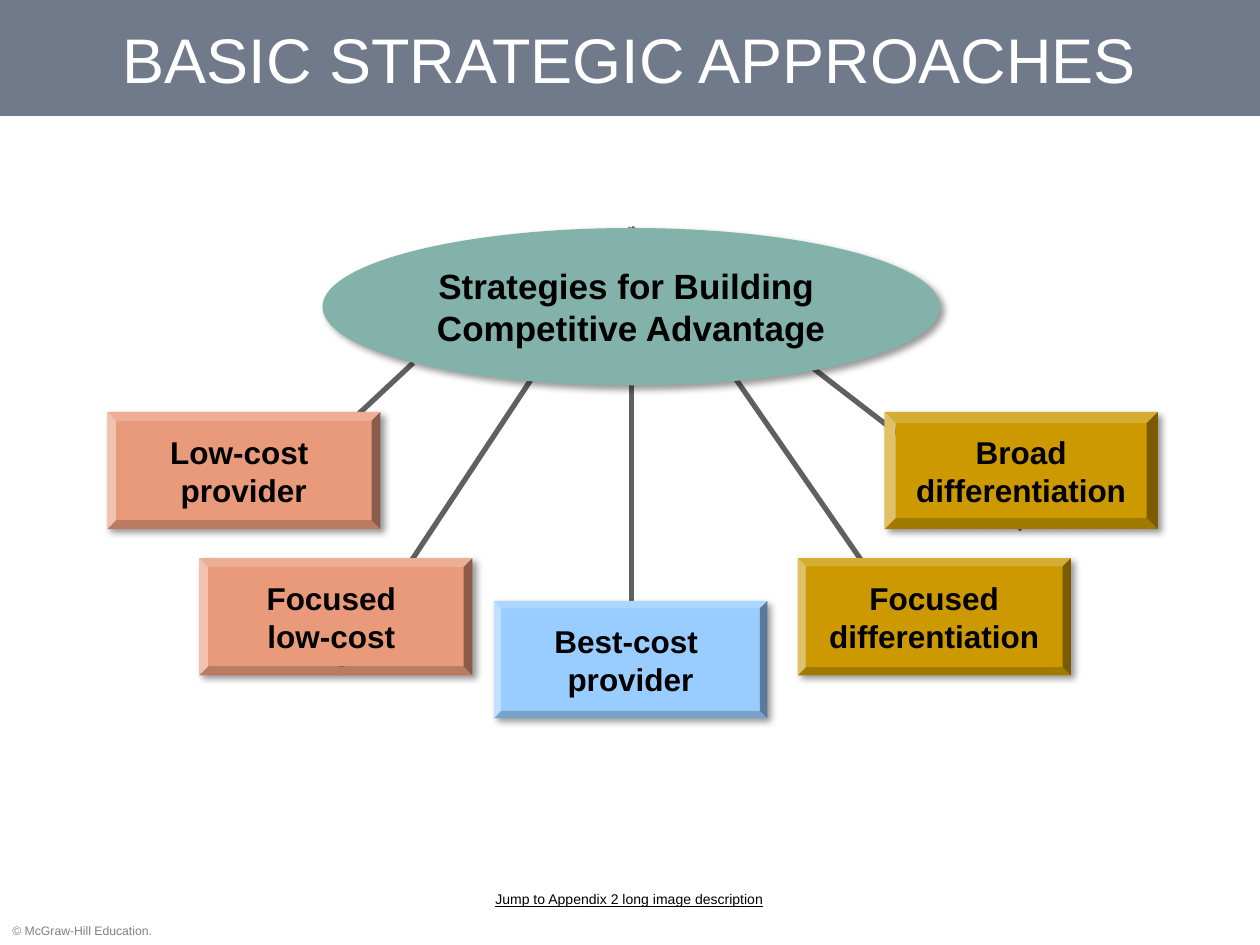
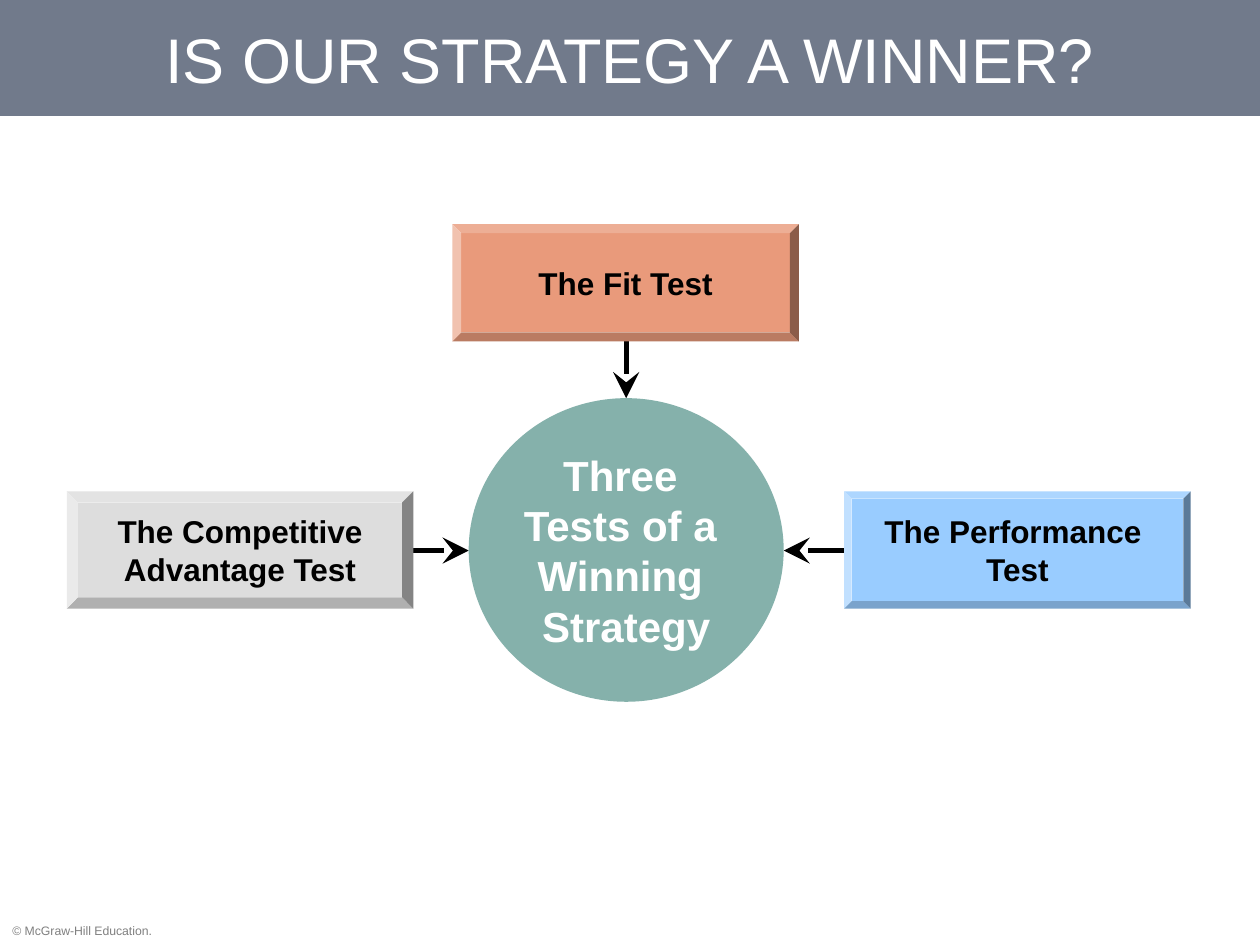
import pptx
import pptx.dml.color
import pptx.enum.shapes
import pptx.enum.text
import pptx.oxml
import pptx.util
import lxml.etree

Inches = pptx.util.Inches
Pt = pptx.util.Pt
Preset = pptx.enum.shapes.MSO_SHAPE
Align = pptx.enum.text.PP_ALIGN
Anchor = pptx.enum.text.MSO_ANCHOR

# Shared look
FONT = "Arial"
BLACK, WHITE = "000000", "FFFFFF"
BAND, FOOTER_GREY, SPOKE_GREY = "717A8B", "808080", "606060"
SALMON, GOLD, BLUE, SILVER = "E99A7B", "CC9900", "99CCFF", "DDDDDD"
HUB_TEAL, CIRCLE_TEAL = "83B2AA", "85B1AB"
BOX_HEIGHT = 0.93
DRAWING = pptx.oxml.ns.nsdecls("a")
NO_EFFECT = f"<a:effectLst {DRAWING}/>"
SHADOW = (
    f'<a:effectLst {DRAWING}><a:outerShdw blurRad="50800" dist="38100" dir="2700000" '
    'algn="tl" rotWithShape="0"><a:srgbClr val="000000"><a:alpha val="40000"/>'
    "</a:srgbClr></a:outerShdw></a:effectLst>"
)
ARROWHEAD = f'<a:tailEnd {DRAWING} type="stealth" w="lg" len="lg"/>'


def rgb(hex_string):
    return pptx.dml.color.RGBColor.from_string(hex_string)


def add_text(slide, preset, place, text, size, color=BLACK, fill=None,
             bold=False, underline=False, align=Align.CENTER, anchor=Anchor.MIDDLE,
             insets=(0.1, 0.05), wrap=True):
    box = [Inches(length) for length in place]
    if preset is None:
        shape = slide.shapes.add_textbox(*box)
    else:
        shape = slide.shapes.add_shape(preset, *box)
        shape.shadow.inherit = False
        shape.fill.solid()
        shape.fill.fore_color.rgb = rgb(fill)
        shape.line.fill.background()
    frame = shape.text_frame
    frame.word_wrap = wrap
    frame.vertical_anchor = anchor
    frame.margin_left = frame.margin_right = Inches(insets[0])
    frame.margin_top = frame.margin_bottom = Inches(insets[1])
    paragraph = frame.paragraphs[0]
    paragraph.text = text
    paragraph.alignment = align
    for run in paragraph.runs:
        run.font.name = FONT
        run.font.size = Pt(size)
        run.font.bold = bold
        run.font.underline = underline
        run.font.color.rgb = rgb(color)
    return shape


# Content: hub = place, text, size, text colour, fill, insets
# boxes = left, top, bevel depth, fill, text; lines = start x, y, end x, y
hub_top = (5.01, 1.81)
slides = [
    {
        "title": "BASIC STRATEGIC APPROACHES",
        "hub": ((2.56, 1.81, 4.9, 1.25), "Strategies for Building \nCompetitive Advantage",
                20, BLACK, HUB_TEAL, (0, 0)),
        "box_width": 2.17,
        "boxes": [
            (0.85, 3.27, 0.076, SALMON, "Low-cost \nprovider"),
            (7.02, 3.27, 0.096, GOLD, "Broad differentiation"),
            (6.33, 4.43, 0.07, GOLD, "Focused differentiation"),
            (3.92, 4.77, 0.063, BLUE, "Best-cost \nprovider"),
            (1.58, 4.43, 0.076, SALMON, "Focused \nlow-cost "),
        ],
        "lines": [
            (3.28, 2.88, 1.94, 4.13),
            (*hub_top, 2.67, 5.35),
            (*hub_top, 5.01, 4.77),
            (*hub_top, 7.42, 5.29),
            (*hub_top, 8.11, 4.2),
        ],
        "line_color": SPOKE_GREY,
        "arrows": False,
        "shadows": True,
        "caption": "Jump to Appendix 2 long image description",
    },
    {
        "title": "IS OUR STRATEGY A WINNER?",
        "hub": ((3.72, 3.16, 2.5, 2.41), "Three \nTests of a \nWinning \nStrategy",
                24, WHITE, CIRCLE_TEAL, (0.1, 0.05)),
        "box_width": 2.75,
        "boxes": [
            (3.59, 1.78, 0.076, SALMON, "The Fit Test"),
            (0.53, 3.9, 0.096, SILVER, "The Competitive Advantage Test"),
            (6.7, 3.9, 0.063, BLUE, "The Performance \nTest"),
        ],
        "lines": [
            (3.28, 4.37, 3.72, 4.37),
            (6.7, 4.37, 6.22, 4.37),
            (4.97, 2.71, 4.97, 3.16),
        ],
        "line_color": BLACK,
        "arrows": True,
        "shadows": False,
        "caption": None,
    },
]

presentation = pptx.Presentation()
presentation.slide_width = Inches(10)
presentation.slide_height = Inches(7.5)

for content in slides:
    slide = presentation.slides.add_slide(presentation.slide_layouts[6])

    # Footer, title band and caption
    add_text(slide, None, (0, 7.28, 1.35, 0.22), "© McGraw-Hill Education.", 7,
             FOOTER_GREY, align=Align.LEFT, anchor=Anchor.TOP)
    add_text(slide, Preset.RECTANGLE, (0, 0, 10, 0.92), content["title"], 36, WHITE, BAND)
    if content["caption"]:
        add_text(slide, None, (2.79, 7, 4.41, 0.27), content["caption"], 8, underline=True)

    # Lines between the hub and its boxes
    for ends in content["lines"]:
        connector = slide.shapes.add_connector(
            pptx.enum.shapes.MSO_CONNECTOR.STRAIGHT, *[Inches(length) for length in ends])
        connector.line.color.rgb = rgb(content["line_color"])
        connector.line.width = Pt(3)
        properties = connector._element.spPr
        properties.append(pptx.oxml.parse_xml(NO_EFFECT))
        if content["arrows"]:
            line = properties.find(pptx.oxml.ns.qn("a:ln"))
            line.append(pptx.oxml.parse_xml(ARROWHEAD))

    # Beveled boxes and the hub
    diagram = []
    for left, top, depth, fill, text in content["boxes"]:
        place = (left, top, content["box_width"], BOX_HEIGHT)
        box = add_text(slide, Preset.BEVEL, place, text, 18, fill=fill, bold=True,
                       insets=(0, 0.05))
        box.adjustments[0] = depth
        diagram.append(box)
    place, text, size, color, fill, insets = content["hub"]
    diagram.append(add_text(slide, Preset.OVAL, place, text, size, color, fill,
                            bold=True, insets=insets, wrap=False))

    # Soft shadows
    if content["shadows"]:
        for shape in diagram:
            properties = shape._element.spPr
            properties.replace(properties.find(pptx.oxml.ns.qn("a:effectLst")),
                               pptx.oxml.parse_xml(SHADOW))

presentation.save("out.pptx")
